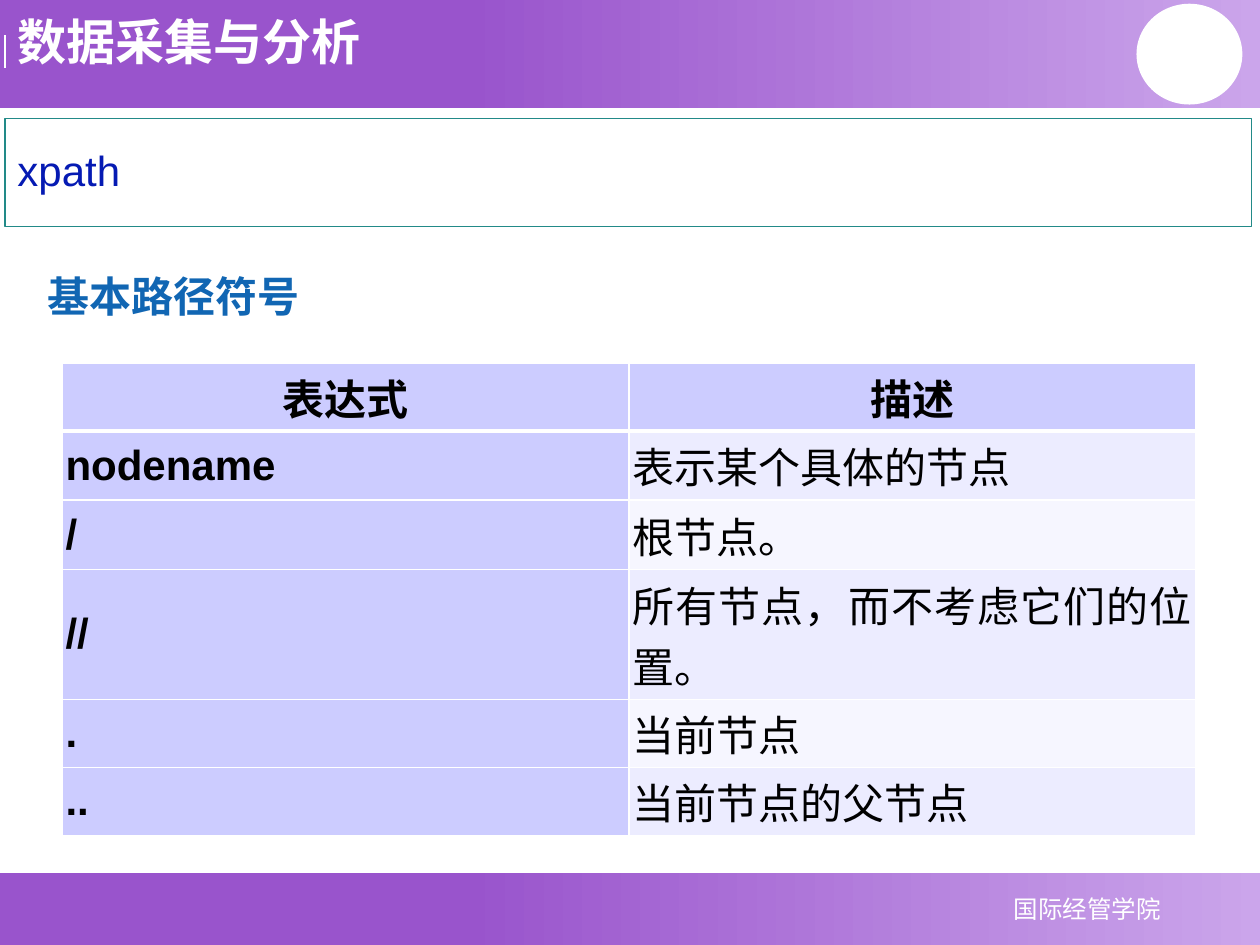
from lxml import etree
from pptx import Presentation
from pptx.dml.color import RGBColor
from pptx.enum import shapes, text
from pptx.oxml import ns
from pptx.util import Inches, Pt

CJK_FONT = "Noto Sans CJK SC"
WHITE = "FFFFFF"
ALIGN = text.PP_ALIGN
BAND_STOPS = [(0, "9954CC"), (37, "9954CC"), (100, "CBA5EB")]
ROWS = [
    ("表达式", "描述"),
    ("nodename", "表示某个具体的节点"),
    ("/", "根节点。"),
    ("//", "所有节点，而不考虑它们的位置。"),
    (".", "当前节点"),
    ("..", "当前节点的父节点"),
]
ROW_HEIGHTS = [0.54, 0.55, 0.55, 1.03, 0.54, 0.54]


def color(value):
    return RGBColor.from_string(value)


def add_element(parent, tag, **attributes):
    return etree.SubElement(parent, ns.qn(tag), attributes)


def write(text_frame, content, size, font_color, bold=False, align=ALIGN.LEFT, font="Arial"):
    text_frame.word_wrap = True
    paragraph = text_frame.paragraphs[0]
    paragraph.text = content
    paragraph.alignment = align
    run = paragraph.runs[0]
    run.font.size = Pt(size)
    run.font.bold = bold
    run.font.name = font
    run.font.color.rgb = color(font_color)
    add_element(run._r.get_or_add_rPr(), "a:ea", typeface=CJK_FONT)


def add_label(slide, box, content, size, font_color, **style):
    label = slide.shapes.add_textbox(*map(Inches, box))
    write(label.text_frame, content, size, font_color, **style)
    return label


def add_plain_shape(slide, kind, box):
    shape = slide.shapes.add_shape(kind, *map(Inches, box))
    shape.shadow.inherit = False
    shape.line.fill.background()
    return shape


def add_band(slide, box):
    band = add_plain_shape(slide, shapes.MSO_SHAPE.RECTANGLE, box)
    band.fill.gradient()
    band.fill.gradient_angle = 0
    stops = band._element.spPr.find(ns.qn("a:gradFill")).find(ns.qn("a:gsLst"))
    for stop in list(stops):
        stops.remove(stop)
    for position, value in BAND_STOPS:
        stop = add_element(stops, "a:gs", pos=str(position * 1000))
        add_element(stop, "a:srgbClr", val=value)


def add_header(slide, box):
    left, top, width, height = box
    add_band(slide, box)
    x = Inches(left + 0.04)
    tick = slide.shapes.add_connector(
        shapes.MSO_CONNECTOR.STRAIGHT, x, Inches(top + 0.28), x, Inches(top + 0.54))
    tick.line.color.rgb = color(WHITE)
    tick.line.width = Pt(0.75)
    add_element(tick._element.spPr, "a:effectLst")
    add_label(slide, (left + 0.04, top + 0.04, 6.38, 0.57), "数据采集与分析", 28, WHITE,
              bold=True, font=CJK_FONT)
    badge = add_plain_shape(slide, shapes.MSO_SHAPE.OVAL,
                            (left + width - 0.98, top + 0.03, 0.84, height - 0.06))
    badge.fill.solid()
    badge.fill.fore_color.rgb = color(WHITE)


def add_footer(slide, box):
    left, top, width, _ = box
    add_band(slide, box)
    label = add_label(slide, (left + width - 2.53, top + 0.11, 2.32, 0.34), "国际经管学院",
                      14, WHITE, align=ALIGN.CENTER)
    label.text_frame.vertical_anchor = text.MSO_ANCHOR.MIDDLE


def add_title(slide, box):
    title = add_plain_shape(slide, shapes.MSO_SHAPE.RECTANGLE, box)
    title.fill.background()
    title.line.color.rgb = color("228A88")
    title.line.width = Pt(0.75)
    write(title.text_frame, "xpath", 24, "051AB3")
    title.text_frame.paragraphs[0].line_spacing = 0.9
    title.text_frame.vertical_anchor = text.MSO_ANCHOR.MIDDLE


def set_borders(cell, top_width, bottom_width):
    """Draw white borders; they must precede the cell's fill in the XML."""
    properties = cell._tc.get_or_add_tcPr()
    for side, width in (("L", 1), ("R", 1), ("T", top_width), ("B", bottom_width)):
        line = add_element(properties, f"a:ln{side}", w=str(Pt(width)))
        fill = add_element(line, "a:solidFill")
        add_element(fill, "a:srgbClr", val=WHITE)


def add_symbol_table(slide, box):
    table = slide.shapes.add_table(len(ROWS), 2, *map(Inches, box)).table
    for row_index, (row, height) in enumerate(zip(ROWS, ROW_HEIGHTS)):
        is_header = row_index == 0
        table.rows[row_index].height = Inches(height)
        for column_index, content in enumerate(row):
            is_key = is_header or column_index == 0
            cell = table.cell(row_index, column_index)
            # The header's thick rule is also the top edge of the row below.
            set_borders(cell, 3 if row_index == 1 else 1, 3 if is_header else 1)
            cell.fill.solid()
            band_fill = "ECECFF" if row_index % 2 else "F6F6FF"
            cell.fill.fore_color.rgb = color("CCCCFF" if is_key else band_fill)
            cell.margin_left = cell.margin_right = Inches(0.03)
            cell.margin_top = cell.margin_bottom = Inches(0.03)
            cell.vertical_anchor = text.MSO_ANCHOR.MIDDLE
            write(cell.text_frame, content, 24, "000000", bold=is_key,
                  align=ALIGN.CENTER if is_header else ALIGN.JUSTIFY)


def main():
    presentation = Presentation()
    presentation.slide_width = Inches(10)
    presentation.slide_height = Inches(7.5)
    slide = presentation.slides.add_slide(presentation.slide_layouts[6])
    add_footer(slide, (0, 6.93, 10, 0.57))
    add_header(slide, (0, 0, 10, 0.86))
    add_title(slide, (0.04, 0.94, 9.89, 0.86))
    add_symbol_table(slide, (0.49, 2.88, 9, sum(ROW_HEIGHTS)))
    add_label(slide, (0.28, 2.1, 5.05, 0.5), "基本路径符号", 24, "1166B3", bold=True)
    presentation.save("out.pptx")


if __name__ == "__main__":
    main()
